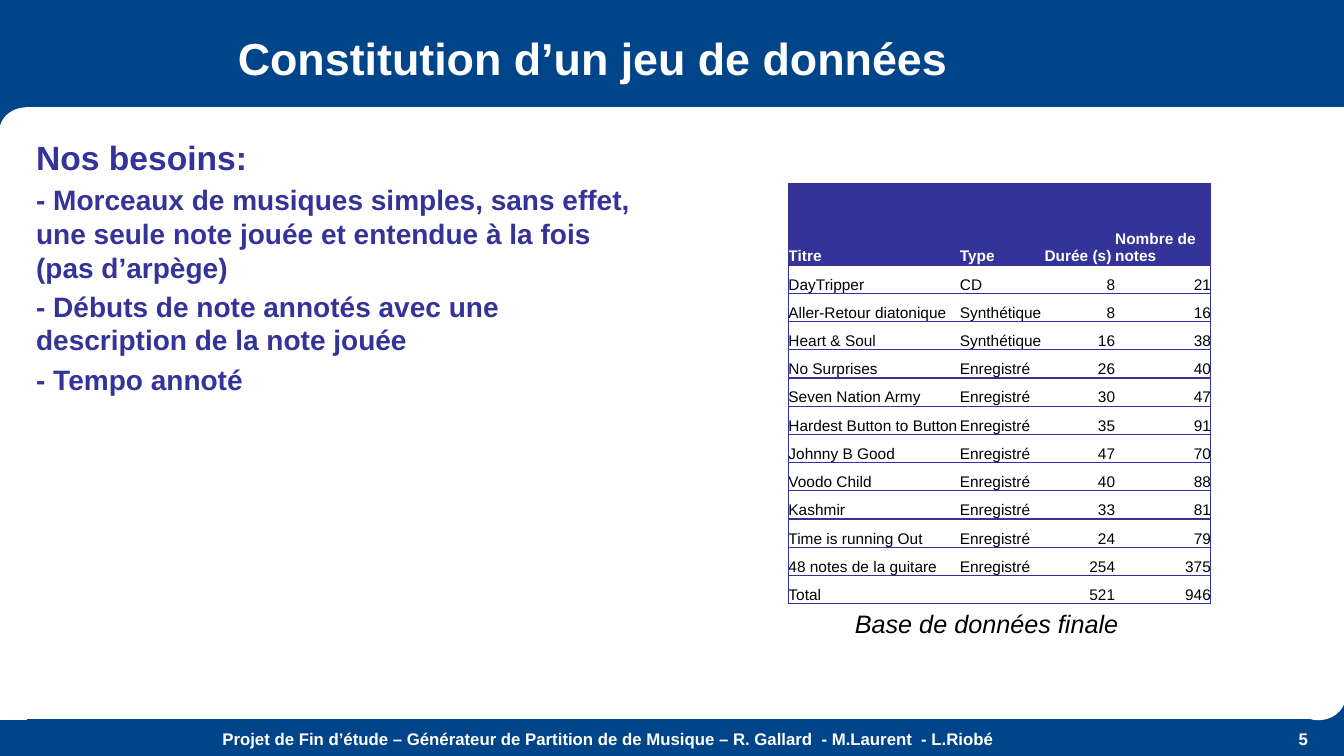
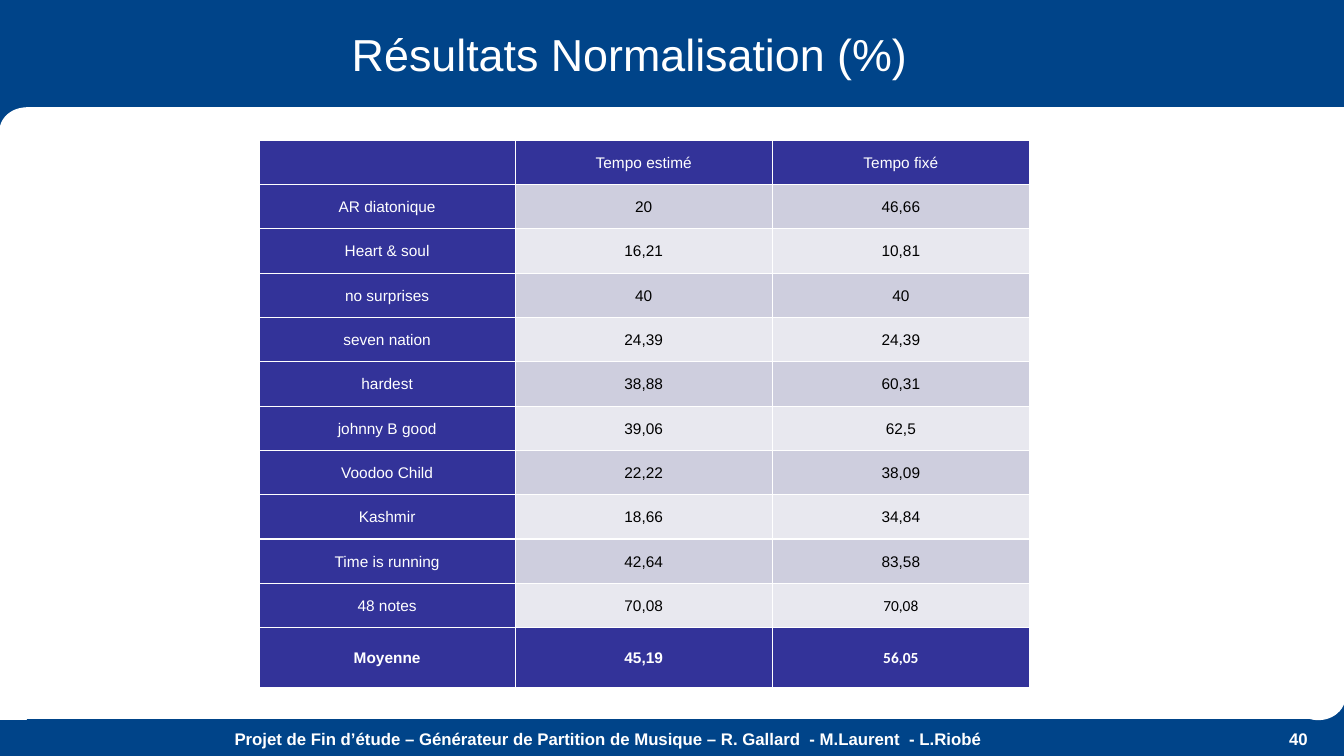
from lxml import etree
from pptx import Presentation
from pptx.dml.color import RGBColor
from pptx.enum.shapes import MSO_SHAPE
from pptx.enum.text import MSO_ANCHOR, PP_ALIGN
from pptx.oxml.ns import qn
from pptx.util import Inches, Pt

LEFT, CENTER, RIGHT = PP_ALIGN.LEFT, PP_ALIGN.CENTER, PP_ALIGN.RIGHT
TOP, MIDDLE, BOTTOM = MSO_ANCHOR.TOP, MSO_ANCHOR.MIDDLE, MSO_ANCHOR.BOTTOM
RECTANGLE, OVAL = MSO_SHAPE.RECTANGLE, MSO_SHAPE.OVAL

COLORS = {
    "blue": "004489",
    "indigo": "333399",
    "white": "FFFFFF",
    "black": "000000",
    "band_dark": "CECEDE",
    "band_light": "E8E8EF",
}

PANEL_PARTS = [
    (RECTANGLE, 0, 6.95, 13.07, 0.18),
    (OVAL, 0, 1.07, 0.53, 0.46),
    (OVAL, 12.81, 6.68, 0.53, 0.46),
    (RECTANGLE, 0.26, 1.07, 13.07, 0.18),
    (RECTANGLE, 0, 1.26, 0.26, 5.88),
    (RECTANGLE, 13.07, 1.07, 0.26, 5.88),
    (RECTANGLE, 0.26, 1.26, 12.81, 5.69),
]


def color(name):
    return RGBColor.from_string(COLORS[name])


def write_text(para, text, size=12, ink="black", font="Arial", bold=False,
               italic=False, align=LEFT, before=0, spacing=None):
    para.alignment = align
    para.space_before = Pt(before)
    if spacing:
        para.line_spacing = spacing
    if not text:
        etree.SubElement(para._p, qn("a:endParaRPr"), sz=str(size * 100))
        return
    span = para.add_run()
    span.text = text
    span.font.size = Pt(size)
    span.font.name = font
    span.font.bold = bold
    span.font.italic = italic
    span.font.color.rgb = color(ink)


def draw_borders(cell, borders):
    properties = cell._tc.get_or_add_tcPr()
    for side in "LRTB":
        line = etree.SubElement(properties, qn(f"a:ln{side}"), w=str(Pt(1)))
        if side in borders:
            fill = etree.SubElement(line, qn("a:solidFill"))
            etree.SubElement(fill, qn("a:srgbClr"), val=COLORS[borders[side]])
        else:
            etree.SubElement(line, qn("a:noFill"))


class Slides:
    def __init__(self):
        self.deck = Presentation()
        self.deck.slide_width = Inches(13.33)
        self.deck.slide_height = Inches(7.5)
        self.page = None

    def start(self, title, title_box, footer, number, bold=False):
        self.page = self.deck.slides.add_slide(self.deck.slide_layouts[6])
        background = self.page.background.fill
        background.solid()
        background.fore_color.rgb = color("blue")
        for kind, *place in PANEL_PARTS:
            self.shape(kind, place, "white")
        self.text(title_box, [title], anchor=MIDDLE, size=32, ink="white", bold=bold)
        label = {"size": 12, "ink": "white", "bold": True}
        self.text((0.26, 7.18, 11.55, 0.3), [footer], align=CENTER, **label)
        self.text((11.81, 7.18, 1.26, 0.3), [number], align=RIGHT, **label)

    def shape(self, kind, place, fill):
        shape = self.page.shapes.add_shape(kind, *map(Inches, place))
        shape.shadow.inherit = False
        shape.fill.solid()
        shape.fill.fore_color.rgb = color(fill)
        shape.line.color.rgb = color(fill)
        shape.line.width = Pt(0.75)

    def text(self, place, lines, anchor=TOP, **style):
        box = self.page.shapes.add_textbox(*map(Inches, place))
        frame = box.text_frame
        frame.word_wrap = True
        frame.vertical_anchor = anchor
        for index, line in enumerate(lines):
            para = frame.add_paragraph() if index else frame.paragraphs[0]
            text, extra = line if isinstance(line, tuple) else (line, {})
            write_text(para, text, **{**style, **extra})

    def table(self, left, top, widths, heights, rows, cell_style, margin, anchor):
        frame = self.page.shapes.add_table(
            len(rows), len(widths), Inches(left), Inches(top),
            Inches(sum(widths)), Inches(sum(heights)))
        table = frame.table
        table.first_row = False
        table.horz_banding = False
        for column, width in zip(table.columns, widths):
            column.width = Inches(width)
        for row, height in zip(table.rows, heights):
            row.height = Inches(height)
        for row_index, values in enumerate(rows):
            for column_index, value in enumerate(values):
                cell = table.cell(row_index, column_index)
                fill, borders, style = cell_style(row_index, column_index)
                cell.margin_left = cell.margin_right = Inches(margin)
                cell.margin_top = cell.margin_bottom = 0
                cell.vertical_anchor = anchor
                draw_borders(cell, borders)
                cell.fill.solid()
                cell.fill.fore_color.rgb = color(fill)
                write_text(cell.text_frame.paragraphs[0], value, size=11, **style)


SONGS = [
    ("Titre", "Type", "Durée (s)", "Nombre de notes"),
    ("DayTripper", "CD", "8", "21"),
    ("Aller-Retour diatonique", "Synthétique", "8", "16"),
    ("Heart & Soul", "Synthétique", "16", "38"),
    ("No Surprises", "Enregistré", "26", "40"),
    ("Seven Nation Army", "Enregistré", "30", "47"),
    ("Hardest Button to Button", "Enregistré", "35", "91"),
    ("Johnny B Good", "Enregistré", "47", "70"),
    ("Voodo Child", "Enregistré", "40", "88"),
    ("Kashmir", "Enregistré", "33", "81"),
    ("Time is running Out", "Enregistré", "24", "79"),
    ("48 notes de la guitare", "Enregistré", "254", "375"),
    ("Total", "", "521", "946"),
]

RESULTS = [
    ("", "Tempo estimé", "Tempo fixé"),
    ("AR diatonique", "20", "46,66"),
    ("Heart & soul", "16,21", "10,81"),
    ("no surprises", "40", "40"),
    ("seven nation", "24,39", "24,39"),
    ("hardest", "38,88", "60,31"),
    ("johnny B good", "39,06", "62,5"),
    ("Voodoo Child", "22,22", "38,09"),
    ("Kashmir", "18,66", "34,84"),
    ("Time is running", "42,64", "83,58"),
    ("48 notes", "70,08", "70,08"),
    ("Moyenne", "45,19", "56,05"),
]


def song_style(row, column):
    borders = {"T": "indigo", "B": "indigo"}
    if column == 0:
        borders["L"] = "indigo"
    if column == len(SONGS[0]) - 1:
        borders["R"] = "indigo"
    if row == 0:
        return "indigo", borders, {"ink": "white", "bold": True}
    return "white", borders, {"align": RIGHT if column > 1 else LEFT}


def result_style(row, column):
    last = len(RESULTS) - 1
    strong = row in (0, last) or column == 0
    band = "band_dark" if row % 2 else "band_light"
    style = {
        "align": CENTER,
        "spacing": 1.07,
        "ink": "white" if strong else "black",
        "bold": row == last,
        "font": "Calibri" if column == 2 and row >= last - 1 else "Arial",
    }
    return "indigo" if strong else band, dict.fromkeys("LRTB", "white"), style


def main():
    slides = Slides()

    slides.start(
        "Constitution d’un jeu de données", (2.26, 0.3, 10.41, 0.54),
        "Projet de Fin d’étude – Générateur de Partition de de Musique"
        " – R. Gallard  - M.Laurent  - L.Riobé", "5", bold=True)
    slides.text((0.26, 1.31, 6.2, 3.31), [
        ("Nos besoins:", {"size": 24, "before": 4.8}),
        "- Morceaux de musiques simples, sans effet, une seule note jouée"
        " et entendue à la fois (pas d’arpège)",
        "- Débuts de note annotés avec une description de la note jouée",
        "- Tempo annoté",
    ], size=20, ink="indigo", bold=True, before=4)
    slides.table(7.82, 1.82, [1.7, 0.84, 0.7, 0.95],
                 [0.81] + [0.28] * (len(SONGS) - 1),
                 SONGS, song_style, margin=0, anchor=BOTTOM)
    slides.text((8.38, 5.99, 3.85, 0.4), ["Base de données finale"],
                size=18, italic=True)

    slides.start(
        "Résultats Normalisation (%)", (3.39, 0.26, 7.81, 0.54),
        "Projet de Fin d’étude – Générateur de Partition de Musique"
        " – R. Gallard  - M.Laurent  - L.Riobé", "40")
    slides.table(2.57, 1.39, [2.54, 2.55, 2.55],
                 [0.44] * (len(RESULTS) - 1) + [0.59],
                 RESULTS, result_style, margin=0.08, anchor=MIDDLE)

    slides.deck.save("out.pptx")


if __name__ == "__main__":
    main()
